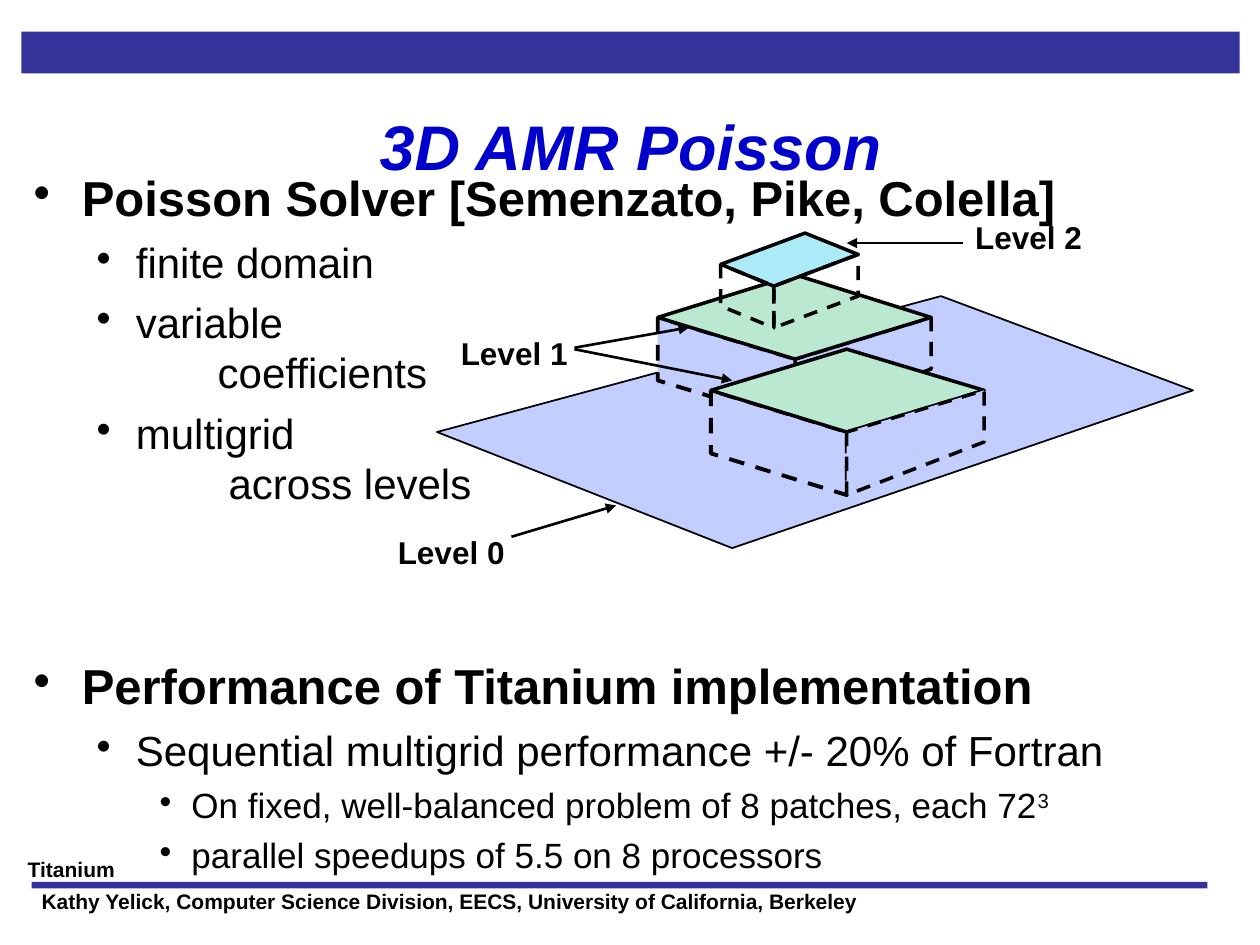
"""Build the 3D AMR Poisson slide: bullets beside a three-level grid diagram."""
from dataclasses import dataclass, field
from typing import NamedTuple, Optional

from lxml import etree
from pptx import Presentation
from pptx import util as u
from pptx.dml.color import RGBColor
from pptx.enum import dml, shapes, text
from pptx.oxml import ns


@dataclass(frozen=True)
class Theme:
    font: str = "Arial"
    ink: str = "000000"
    bar: str = "333399"
    title: str = "0000CC"
    ground: str = "C1CEFF"
    middle: str = "BAE8D1"
    top: str = "ABEAF7"
    title_size: int = 36
    label_size: int = 18
    footer_size: int = 12
    level_sizes: tuple = (28, 24, 20)


THEME = Theme()


class Point(NamedTuple):
    x: float
    y: float


class Area(NamedTuple):
    left: float
    top: float
    width: float
    height: float


class Level(NamedTuple):
    margin: float
    hang: float
    before: float
    bold: bool


@dataclass(frozen=True)
class Item:
    words: str
    level: int
    before: Optional[float] = None
    margin: Optional[float] = None
    power: str = ""


@dataclass(frozen=True)
class Block:
    left: Point
    front: Point
    right: Point
    back: Point
    drops: tuple
    lid: str
    side: Optional[str]
    left_width: float
    order: tuple


@dataclass(frozen=True)
class Label:
    words: str
    area: Area
    format: dict = field(default_factory=dict)
    frame: dict = field(default_factory=dict)
    align: Optional[text.PP_ALIGN] = None
    color: str = THEME.ink


LEVELS = (Level(0.97, 0.97, 7, True), Level(2.06, 0.79, 6, False), Level(3.18, 0.64, 5, False))
BODY_AREA = Area(0.43, 3.3, 24.56, 14.1)
BODY_SPACING = 0.99
ITEMS = (
    Item("Poisson Solver [Semenzato, Pike, Colella]", 0, before=0),
    Item("finite domain", 1),
    Item("variable", 1),
    Item("coefficients", 1, before=0, margin=3.71),
    Item("multigrid", 1),
    Item("across levels", 1, before=0, margin=3.93),
    Item("Performance of Titanium implementation", 0, before=85),
    Item("Sequential multigrid performance +/- 20% of Fortran", 1),
    Item("On fixed, well-balanced problem of 8 patches, each 72", 2, power="3"),
    Item("parallel speedups of 5.5 on 8 processors", 2),
)

BARS = (Area(0.43, 0.64, 24.56, 0.84), Area(0.64, 17.78, 23.7, 0.13))
FOOTER = {"size": u.Pt(THEME.footer_size), "bold": True}
FOOTER_FRAME = {"margin_left": u.Cm(0.13)}
HEADINGS = (
    Label("Kathy Yelick, Computer Science Division, EECS, University of California, Berkeley",
          Area(0.71, 17.78, 23.98, 0.76), FOOTER,
          FOOTER_FRAME | {"vertical_anchor": text.MSO_ANCHOR.BOTTOM, "word_wrap": False}),
    Label("Titanium", Area(0.43, 17.15, 24.56, 0.84), FOOTER, FOOTER_FRAME),
    Label("3D AMR Poisson", Area(0.43, 1.47, 24.56, 2.9),
          {"size": u.Pt(THEME.title_size), "bold": True, "italic": True},
          {"vertical_anchor": text.MSO_ANCHOR.MIDDLE}, text.PP_ALIGN.CENTER, THEME.title),
)
LEVEL_LABELS = tuple(
    Label(f"Level {number}", Area(left, top, 2.74, 1.02),
          {"size": u.Pt(THEME.label_size), "bold": True}, {"word_wrap": False})
    for number, left, top in ((0, 7.77, 10.62), (2, 19.41, 4.27), (1, 9.04, 6.6))
)

GROUND = (Point(8.81, 8.71), Point(18.97, 5.97), Point(24.05, 7.87), Point(14.76, 11.05))
BLOCKS = (
    Block(Point(13.26, 6.4), Point(16.03, 7.24), Point(18.77, 6.4), Point(16.03, 5.54),
          (1.27, 1.27, 1.04), THEME.middle, THEME.ground, 2.25, ("left", "right", "lid")),
    Block(Point(14.53, 5.33), Point(15.6, 5.77), Point(17.3, 5.13), Point(16.23, 4.7),
          (0.84, 0.84, 0.84), THEME.top, None, 2, ("lid", "left", "right")),
    Block(Point(14.33, 7.87), Point(17.07, 8.71), Point(19.84, 7.87), Point(17.07, 7.04),
          (1.27, 1.27, 1.04), THEME.middle, THEME.ground, 2.25, ("left", "lid", "right")),
)
ARROWS = (
    (Point(10.31, 10.82), Point(12.42, 10.19)),
    (Point(11.58, 7.01), Point(13.89, 6.6)),
    (Point(11.58, 7.04), Point(14.76, 7.67)),
    (Point(19.41, 4.9), Point(17.07, 4.9)),
)


def apply(target, values: dict) -> None:
    for name, value in values.items():
        setattr(target, name, value)


def add_span(para, words: str, color: str, values: dict):
    span = para.add_run()
    span.text = words
    apply(span.font, {"name": THEME.font} | values)
    span.font.color.rgb = RGBColor.from_string(color)
    return span


def add_frame(page, area: Area, values: dict):
    frame = page.shapes.add_textbox(*map(u.Cm, area)).text_frame
    apply(frame, {"word_wrap": True} | values)
    return frame


def draw_label(page, label: Label) -> None:
    para = add_frame(page, label.area, label.frame).paragraphs[0]
    para.alignment = label.align
    add_span(para, label.words, label.color, label.format)


def draw_bar(page, area: Area) -> None:
    bar = page.shapes.add_shape(shapes.MSO_SHAPE.RECTANGLE, *map(u.Cm, area))
    bar.shadow.inherit = False
    bar.fill.solid()
    bar.fill.fore_color.rgb = RGBColor.from_string(THEME.bar)
    bar.line.fill.background()


def add_bullet(properties) -> None:
    color = etree.SubElement(properties, ns.qn("a:buClr"))
    etree.SubElement(color, ns.qn("a:srgbClr")).set("val", THEME.ink)
    etree.SubElement(properties, ns.qn("a:buChar")).set("char", "•")


def draw_body(page) -> None:
    frame = add_frame(page, BODY_AREA, {})
    for index, item in enumerate(ITEMS):
        para = frame.add_paragraph() if index else frame.paragraphs[0]
        level = LEVELS[item.level]
        properties = para._p.get_or_add_pPr()
        hangs = item.margin is None
        properties.set("marL", str(u.Cm(level.margin if hangs else item.margin)))
        properties.set("indent", str(-u.Cm(level.hang) if hangs else 0))
        if hangs:
            add_bullet(properties)
        before = level.before if item.before is None else item.before
        apply(para, {"level": item.level, "line_spacing": BODY_SPACING, "space_before": u.Pt(before)})
        values = {"size": u.Pt(THEME.level_sizes[item.level]), "bold": level.bold}
        add_span(para, item.words, THEME.ink, values)
        if item.power:
            power = add_span(para, item.power, THEME.ink, values)
            power._r.get_or_add_rPr().set("baseline", "30000")


def draw_face(page, corners: tuple, fill: Optional[str], width: float, dashed: bool = False) -> None:
    start, *rest = [(u.Cm(x), u.Cm(y)) for x, y in corners]
    builder = page.shapes.build_freeform(*start)
    builder.add_line_segments(rest, close=True)
    face = builder.convert_to_shape()
    face.shadow.inherit = False
    if fill:
        face.fill.solid()
        face.fill.fore_color.rgb = RGBColor.from_string(fill)
    else:
        face.fill.background()
    face.line.color.rgb = RGBColor.from_string(THEME.ink)
    face.line.width = u.Pt(width)
    if dashed:
        face.line.dash_style = dml.MSO_LINE.DASH


def draw_block(page, block: Block) -> None:
    rim = (block.left, block.front, block.right)
    left, front, right = (Point(p.x, p.y + drop) for p, drop in zip(rim, block.drops))
    faces = {
        "left": ((block.left, left, front, block.front), block.side, block.left_width, True),
        "right": ((block.front, front, right, block.right), block.side, 2, True),
        "lid": ((block.left, block.back, block.right, block.front), block.lid, 2, False),
    }
    if block.side:
        faces["left"] = (faces["left"][0], block.side, block.left_width, True)
    for name in block.order:
        draw_face(page, *faces[name])


def draw_arrow(page, start: Point, end: Point) -> None:
    arrow = page.shapes.add_connector(shapes.MSO_CONNECTOR.STRAIGHT, *map(u.Cm, start + end))
    arrow.line.color.rgb = RGBColor.from_string(THEME.ink)
    arrow.line.width = u.Pt(1.5)
    etree.SubElement(arrow.line._get_or_add_ln(), ns.qn("a:tailEnd")).set("type", "triangle")
    etree.SubElement(arrow._element.spPr, ns.qn("a:effectLst"))


def main() -> None:
    deck = Presentation()
    apply(deck, {"slide_width": u.Cm(25.4), "slide_height": u.Cm(19.05)})
    page = deck.slides.add_slide(deck.slide_layouts[6])
    for area in BARS:
        draw_bar(page, area)
    for label in HEADINGS:
        draw_label(page, label)
    draw_body(page)
    draw_face(page, GROUND, THEME.ground, 1)
    for block in BLOCKS:
        draw_block(page, block)
    for label in LEVEL_LABELS:
        draw_label(page, label)
    for start, end in ARROWS:
        draw_arrow(page, start, end)
    deck.save("out.pptx")


if __name__ == "__main__":
    main()
